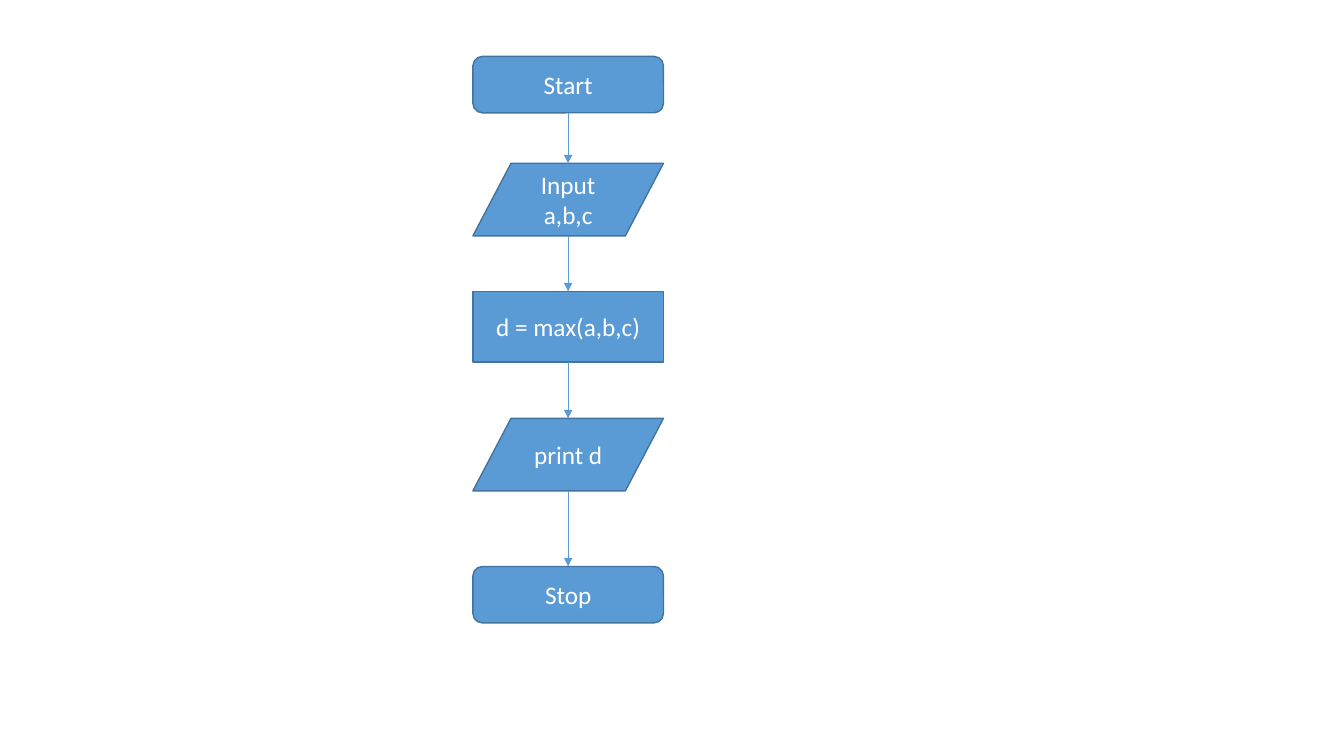
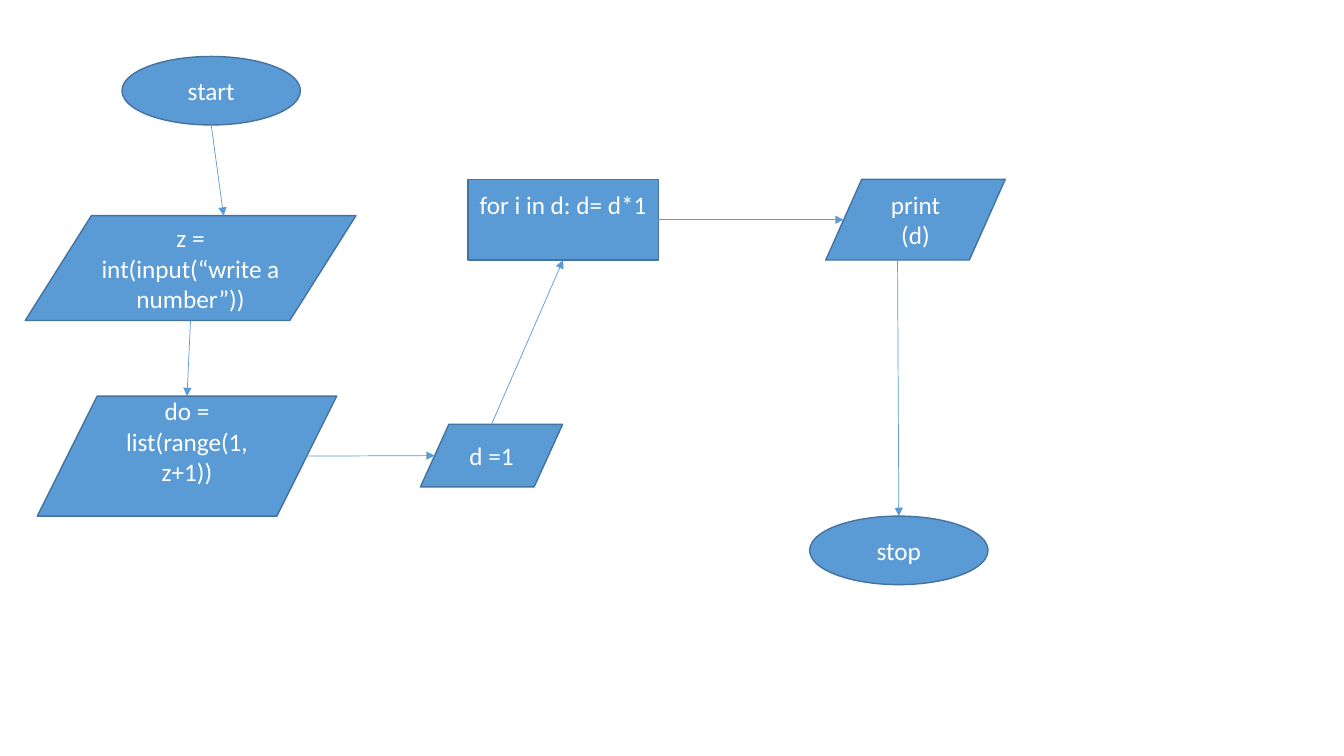
import pptx
import pptx.dml.color
import pptx.enum.shapes
import pptx.enum.text
import pptx.util
from lxml import etree
from pptx.oxml.ns import qn

Inches = pptx.util.Inches
Pt = pptx.util.Pt
RGBColor = pptx.dml.color.RGBColor
Preset = pptx.enum.shapes.MSO_SHAPE

COLORS = {"fill": "5B9BD5", "outline": "43739E", "arrow": "5B9BD5", "text": "FFFFFF"}
FONT = {"name": "Calibri", "size": Pt(18)}
FRAME = {
    "word_wrap": True,
    "vertical_anchor": pptx.enum.text.MSO_ANCHOR.MIDDLE,
    "margin_left": Inches(0.1),
    "margin_right": Inches(0.1),
    "margin_top": Inches(0.05),
    "margin_bottom": Inches(0.05),
}
RAISED_MARGIN = Inches(0.35)  # lifts the text by half a line

# Points where arrows meet a box, as shares of its width and height
SITES = {
    "top": (0.5, 0),
    "bottom": (0.5, 1),
    "right": (1, 0.5),
    "slant top": (0.6, 0),
    "slant bottom": (0.4, 1),
    "slant left": (0.1, 0.5),
    "slant right": (0.9, 0.5),
}

COLUMN_LEFT, COLUMN_WIDTH = 4.69, 1.89
column_steps = [
    ("Start", Preset.ROUNDED_RECTANGLE, 0.56, 0.56),
    ("Input a,b,c", Preset.FLOWCHART_DATA, 1.62, 0.72),
    ("d = max(a,b,c)", Preset.RECTANGLE, 2.89, 0.7),
    ("print d", Preset.FLOWCHART_DATA, 4.15, 0.72),
    ("Stop", Preset.ROUNDED_RECTANGLE, 5.62, 0.56),
]

# Each chart: boxes by name (text, preset, place, raised text), then arrows
maximum_chart = (
    {
        text: (text, preset, (COLUMN_LEFT, top, COLUMN_WIDTH, height), False)
        for text, preset, top, height in column_steps
    },
    [
        (upper[0], "bottom", lower[0], "top")
        for upper, lower in zip(column_steps, column_steps[1:])
    ],
)
loop_chart = (
    {
        "start": ("start", Preset.OVAL, (1.21, 0.56, 1.77, 0.68), False),
        "input": ("z = int(input(“write a number”))", Preset.FLOWCHART_DATA,
                  (0.25, 2.14, 3.28, 1.04), False),
        "range": ("do = list(range(1, z+1))", Preset.FLOWCHART_DATA,
                  (0.37, 3.93, 2.97, 1.19), True),
        "initial": ("d =1", Preset.FLOWCHART_DATA, (4.17, 4.21, 1.41, 0.62), False),
        "loop": ("for i in d: d= d*1", Preset.RECTANGLE, (4.64, 1.78, 1.89, 0.8), True),
        "print": ("print\v(d)", Preset.FLOWCHART_DATA, (8.19, 1.78, 1.78, 0.8), False),
        "stop": ("stop", Preset.OVAL, (8.03, 5.12, 1.77, 0.68), False),
    },
    [
        ("start", "bottom", "input", "slant top"),
        ("input", "bottom", "range", "top"),
        ("range", "slant right", "initial", "slant left"),
        ("initial", "top", "loop", "bottom"),
        ("loop", "right", "print", "slant left"),
        ("print", "slant bottom", "stop", "top"),
    ],
)


def add_box(page, text, preset, place, raised):
    box = page.shapes.add_shape(preset, *map(Inches, place))
    box.shadow.inherit = False
    box.fill.solid()
    box.fill.fore_color.rgb = RGBColor.from_string(COLORS["fill"])
    box.line.color.rgb = RGBColor.from_string(COLORS["outline"])
    box.line.width = Pt(1)
    frame = box.text_frame
    for name, value in FRAME.items():
        setattr(frame, name, value)
    if raised:
        frame.margin_bottom = RAISED_MARGIN
    frame.text = text
    para = frame.paragraphs[0]
    para.alignment = pptx.enum.text.PP_ALIGN.CENTER
    for span in para.runs:
        for name, value in FONT.items():
            setattr(span.font, name, value)
        span.font.color.rgb = RGBColor.from_string(COLORS["text"])
    return box


def add_arrow(page, source, source_site, target, target_site):
    ends = []
    for box, site in ((source, source_site), (target, target_site)):
        across, down = SITES[site]
        ends += [int(box.left + across * box.width), int(box.top + down * box.height)]
    arrow = page.shapes.add_connector(pptx.enum.shapes.MSO_CONNECTOR.STRAIGHT, *ends)
    arrow.line.color.rgb = RGBColor.from_string(COLORS["arrow"])
    arrow.line.width = Pt(0.5)
    properties = arrow.element.spPr
    etree.SubElement(properties.find(qn("a:ln")), qn("a:tailEnd"), type="triangle")
    etree.SubElement(properties, qn("a:effectLst"))


deck = pptx.Presentation()
deck.slide_width = Inches(13.33)
deck.slide_height = Inches(7.5)
blank_layout = deck.slide_layouts.get_by_name("Blank")

for steps, links in (maximum_chart, loop_chart):
    page = deck.slides.add_slide(blank_layout)
    boxes = {name: add_box(page, *step) for name, step in steps.items()}
    for source, source_site, target, target_site in links:
        add_arrow(page, boxes[source], source_site, boxes[target], target_site)

deck.save("out.pptx")
